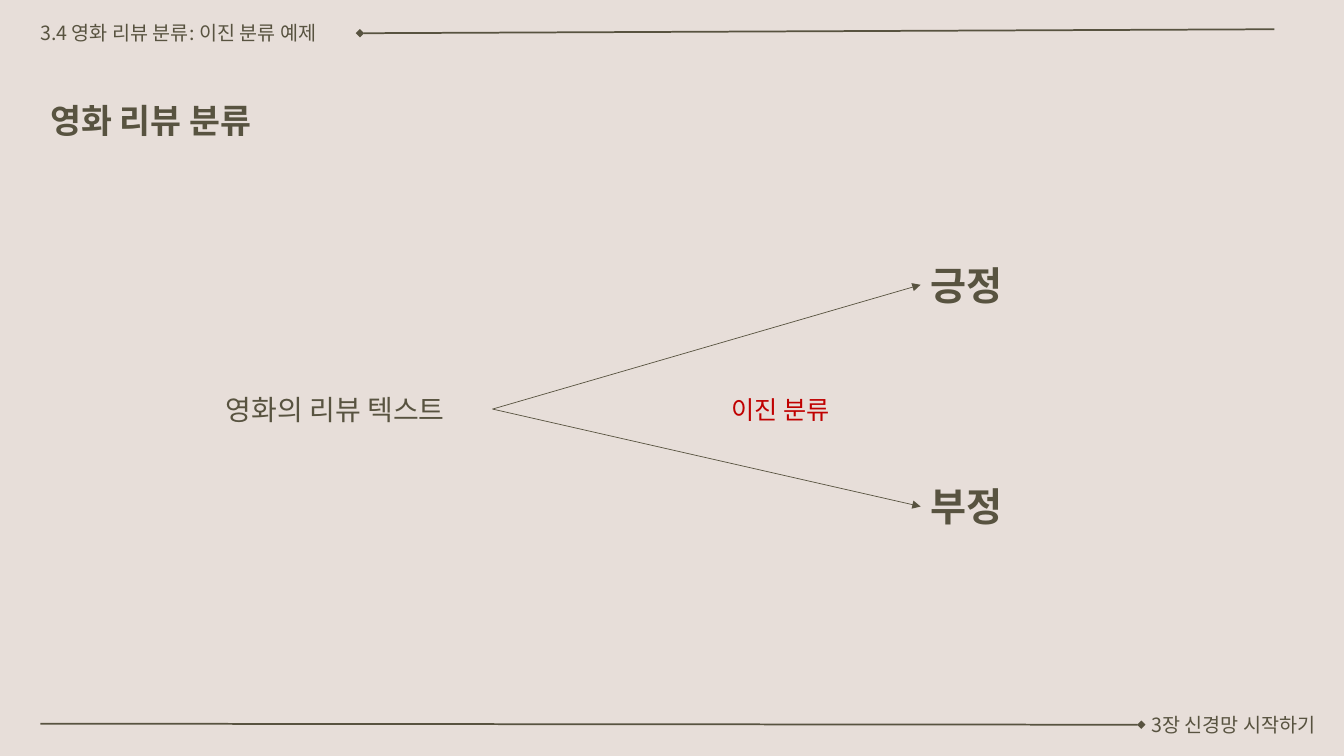
"""Build a slide that shows binary classification of film reviews."""
from pptx import Presentation
from pptx.dml.color import RGBColor as Rgb
from pptx.enum.shapes import MSO_CONNECTOR as Link
from pptx.enum.text import MSO_ANCHOR as Anchor, MSO_AUTO_SIZE as Auto, PP_ALIGN as Align
from pptx.oxml.ns import qn
from pptx.util import Inches, Pt
from lxml.etree import SubElement as Sub

HUES = {"back": "E7DED9", "ink": "585340", "red": "C00000"}
FACE = "Noto Sans CJK KR"


class Page:
    def __init__(self, deck):
        self.wide, self.high = deck.slide_width, deck.slide_height
        self.slide = deck.slides.add_slide(deck.slide_layouts[5])
        fill = self.slide.background.fill
        fill.solid()
        fill.fore_color.rgb = Rgb.from_string(HUES["back"])

    def spot(self, x, y):
        return round(self.wide * x / 100), round(self.high * y / 100)

    def text(self, box, words, size, hue="ink", bold=False, wrap=True):
        frame = box.text_frame
        look = {"word_wrap": wrap, "auto_size": Auto.SHAPE_TO_FIT_TEXT,
                "vertical_anchor": Anchor.TOP}
        for key, val in look.items():
            setattr(frame, key, val)
        para = frame.paragraphs[0]
        para.alignment = Align.LEFT
        run = para.add_run()
        run.text = words
        for key, val in {"size": Pt(size), "bold": bold, "name": FACE}.items():
            setattr(run.font, key, val)
        run.font.color.rgb = Rgb.from_string(HUES[hue])
        Sub(run._r.get_or_add_rPr(), qn("a:ea"), typeface=FACE)
        return box

    def title(self, area, words, size):
        box = self.slide.shapes.title
        spots = self.spot(*area[:2]) + self.spot(*area[2:])
        for key, val in zip(("left", "top", "width", "height"), spots):
            setattr(box, key, val)
        return self.text(box, words, size, bold=True)

    def label(self, area, words, size, **style):
        box = self.slide.shapes.add_textbox(*self.spot(*area[:2]), *self.spot(*area[2:]))
        return self.text(box, words, size, **style)

    def line(self, start, end, width, tip, kind):
        ends = [(0, 0) if hasattr(p, "text_frame") else self.spot(*p) for p in (start, end)]
        line = self.slide.shapes.add_connector(Link.STRAIGHT, *ends[0], *ends[1])
        if hasattr(start, "text_frame"):
            line.begin_connect(start, 3)
        if hasattr(end, "text_frame"):
            line.end_connect(end, 1)
        line.line.width = Pt(width)
        line.line.color.rgb = Rgb.from_string(HUES["ink"])
        props = line._element.spPr
        Sub(props.find(qn("a:ln")), qn(f"a:{tip}"), type=kind)
        Sub(props, qn("a:effectLst"))


def main():
    deck = Presentation()
    deck.slide_width, deck.slide_height = Inches(13.33), Inches(7.5)
    page = Page(deck)

    head = page.label((2.25, 2.13, 24.53, 4.53), "3.4 영화 리뷰 분류: 이진 분류 예제", 14, wrap=False)
    foot = page.label((84.92, 93.6, 15.15, 4.53), "3장 신경망 시작하기", 14, wrap=False)
    page.line(head, (94.82, 3.87), 1.25, "headEnd", "diamond")
    page.line((3, 95.73), foot, 1.25, "tailEnd", "diamond")

    page.title((3, 12.53, 24.53, 6.73), "영화 리뷰 분류", 24)
    review = page.label((16.05, 51.2, 20.6, 5.83), "영화의 리뷰 텍스트", 20)
    for mood, top in (("긍정", 33.87), ("부정", 63.2)):
        box = page.label((68.5, top, 10.58, 7.6), mood, 28, bold=True)
        page.line(review, box, 0.5, "tailEnd", "triangle")
    page.label((53.71, 51.47, 10.58, 5.33), "이진 분류", 18, hue="red")

    deck.save("out.pptx")


if __name__ == "__main__":
    main()
